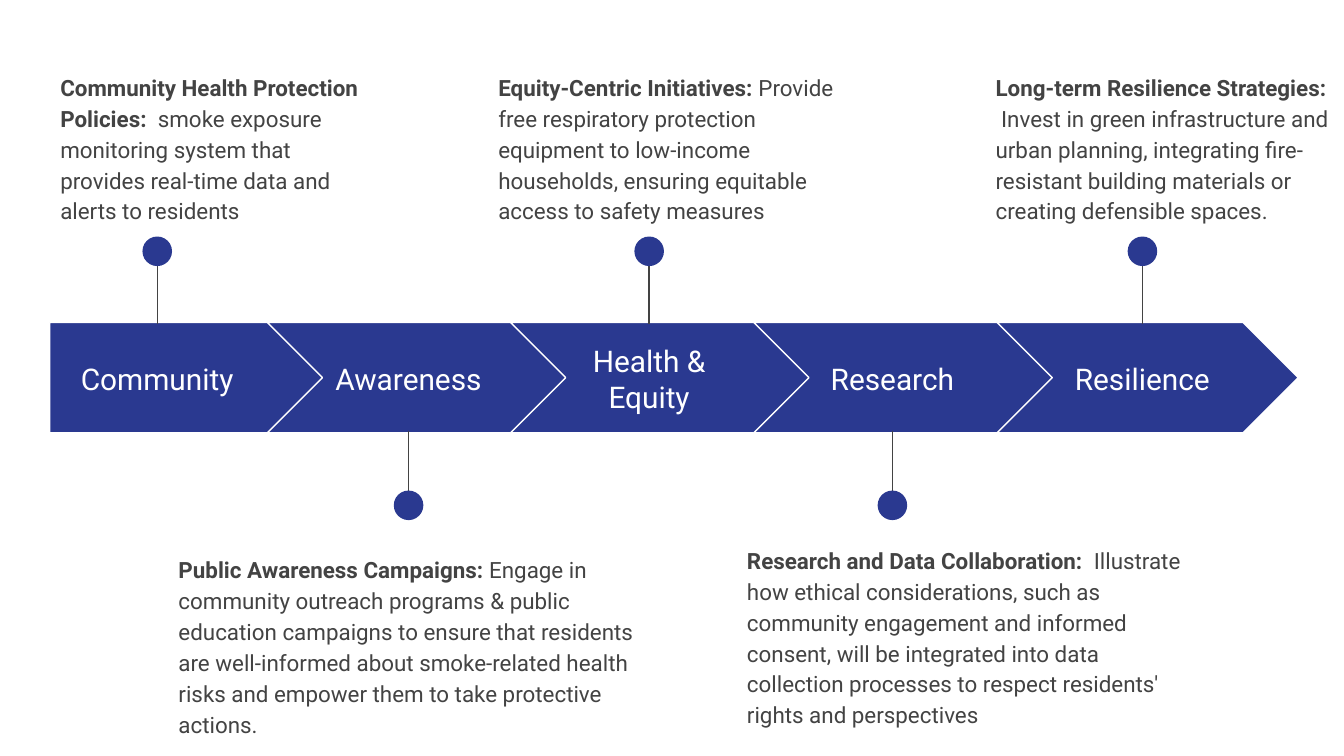
import pptx
import pptx.util
import pptx.dml.color
import pptx.enum.shapes
import pptx.enum.text
import pptx.oxml.ns
from lxml import etree

Inches = pptx.util.Inches
Pt = pptx.util.Pt
SHAPES = pptx.enum.shapes.MSO_SHAPE
ALIGN = pptx.enum.text.PP_ALIGN
ANCHOR = pptx.enum.text.MSO_ANCHOR

# Content: label, pin x, heading, detail, detail box (left, top, width, height), space after
STAGES = [
    ("Community", 1.17, "Community Health Protection Policies: ",
     " smoke exposure monitoring system that provides real-time data and alerts to residents",
     (0.35, 0.42, 2.45, 0.99), 16),
    ("Awareness", 3.04, "Public Awareness Campaigns: ",
     "Engage in community outreach programs & public education campaigns to ensure that "
     "residents are well-informed about smoke-related health risks and empower them to take "
     "protective actions.",
     (1.23, 4.01, 3.64, 1.44), 0),
    ("Health & Equity", 4.83, "Equity-Centric Initiatives: ",
     "Provide free respiratory protection equipment to low-income households, ensuring "
     "equitable access to safety measures",
     (3.61, 0.42, 2.7, 0.99), 0),
    ("Research", 6.64, "Research and Data Collaboration: ",
     " Illustrate how ethical considerations, such as community engagement and informed "
     "consent, will be integrated into data collection processes to respect residents' rights "
     "and perspectives",
     (5.46, 3.94, 3.53, 1.44), 16),
    ("Resilience", 8.5, "Long-term Resilience Strategies: ",
     " Invest in green infrastructure and urban planning, integrating fire-resistant building "
     "materials or creating defensible spaces.",
     (7.31, 0.42, 2.7, 0.99), 0),
]

BLUE, WHITE, GREY = "2A3990", "FFFFFF", "434343"
FONT = "Roboto"

# Slide, arrow band and pins, in inches
SLIDE_WIDTH = 10
SLIDE_HEIGHT = SLIDE_WIDTH * 9 / 16
BAND_TOP, BAND_HEIGHT = 2.4, 0.82
FIRST_LEFT, FIRST_WIDTH = 0.37, 2.05
CHEVRON_LEFT, CHEVRON_WIDTH, CHEVRON_STEP = 1.99, 2.24, 1.81
LABEL_TOP, LABEL_WIDTH, LABEL_HEIGHT = 2.56, 1.44, 0.51
DOT = 0.22
PIN_ABOVE = (1.8, 2.41, 1.76)   # line start, line end, dot top
PIN_BELOW = (3.82, 3.21, 3.65)


def color(hex_value):
    return pptx.dml.color.RGBColor.from_string(hex_value)


def add_filled(kind, left, top, width, height, outline=None):
    shape = slide.shapes.add_shape(kind, Inches(left), Inches(top), Inches(width), Inches(height))
    shape.shadow.inherit = False
    shape.fill.solid()
    shape.fill.fore_color.rgb = color(BLUE)
    if outline:
        shape.line.color.rgb = color(outline)
        shape.line.width = Pt(0.75)
    else:
        shape.line.fill.background()


def add_text(box, runs, size, hex_value, anchor=ANCHOR.TOP):
    """Add one paragraph of (text, bold) runs and return it."""
    frame = slide.shapes.add_textbox(*map(Inches, box)).text_frame
    frame.word_wrap = True
    frame.vertical_anchor = anchor
    frame.margin_left = frame.margin_right = Inches(0.1)
    frame.margin_top = frame.margin_bottom = Inches(0.1)
    paragraph = frame.paragraphs[0]
    for text, bold in runs:
        run = paragraph.add_run()
        run.text = text
        run.font.name = FONT
        run.font.size = Pt(size)
        run.font.bold = bold
        run.font.color.rgb = color(hex_value)
    return paragraph


def add_pin(x, start, end, dot_top):
    stem = slide.shapes.add_connector(pptx.enum.shapes.MSO_CONNECTOR.STRAIGHT,
                                      Inches(x), Inches(start), Inches(x), Inches(end))
    stem.line.color.rgb = color(GREY)
    stem.line.width = Pt(0.75)
    etree.SubElement(stem._element.spPr, pptx.oxml.ns.qn("a:effectLst"))
    add_filled(SHAPES.OVAL, x - DOT / 2, dot_top, DOT, DOT)


presentation = pptx.Presentation()
presentation.slide_width = Inches(SLIDE_WIDTH)
presentation.slide_height = Inches(SLIDE_HEIGHT)
slide = presentation.slides.add_slide(presentation.slide_layouts[6])

for index, (label, pin_x, heading, detail, detail_box, space_after) in enumerate(STAGES):
    # Arrow segment
    if index == 0:
        add_filled(SHAPES.PENTAGON, FIRST_LEFT, BAND_TOP, FIRST_WIDTH, BAND_HEIGHT, WHITE)
    else:
        left = CHEVRON_LEFT + (index - 1) * CHEVRON_STEP
        add_filled(SHAPES.CHEVRON, left, BAND_TOP, CHEVRON_WIDTH, BAND_HEIGHT, WHITE)

    # Stage label, centred on its pin
    label_box = (pin_x - LABEL_WIDTH / 2, LABEL_TOP, LABEL_WIDTH, LABEL_HEIGHT)
    stage_label = add_text(label_box, [(label, False)], 16, WHITE, ANCHOR.MIDDLE)
    stage_label.alignment = ALIGN.CENTER

    # Pins alternate above and below the band
    add_pin(pin_x, *(PIN_BELOW if index % 2 else PIN_ABOVE))

    # Description
    description = add_text(detail_box, [(heading, True), (detail, False)], 12, GREY)
    description.alignment = ALIGN.LEFT
    description.line_spacing = 1.15
    description.space_after = Pt(space_after)

presentation.save("out.pptx")
